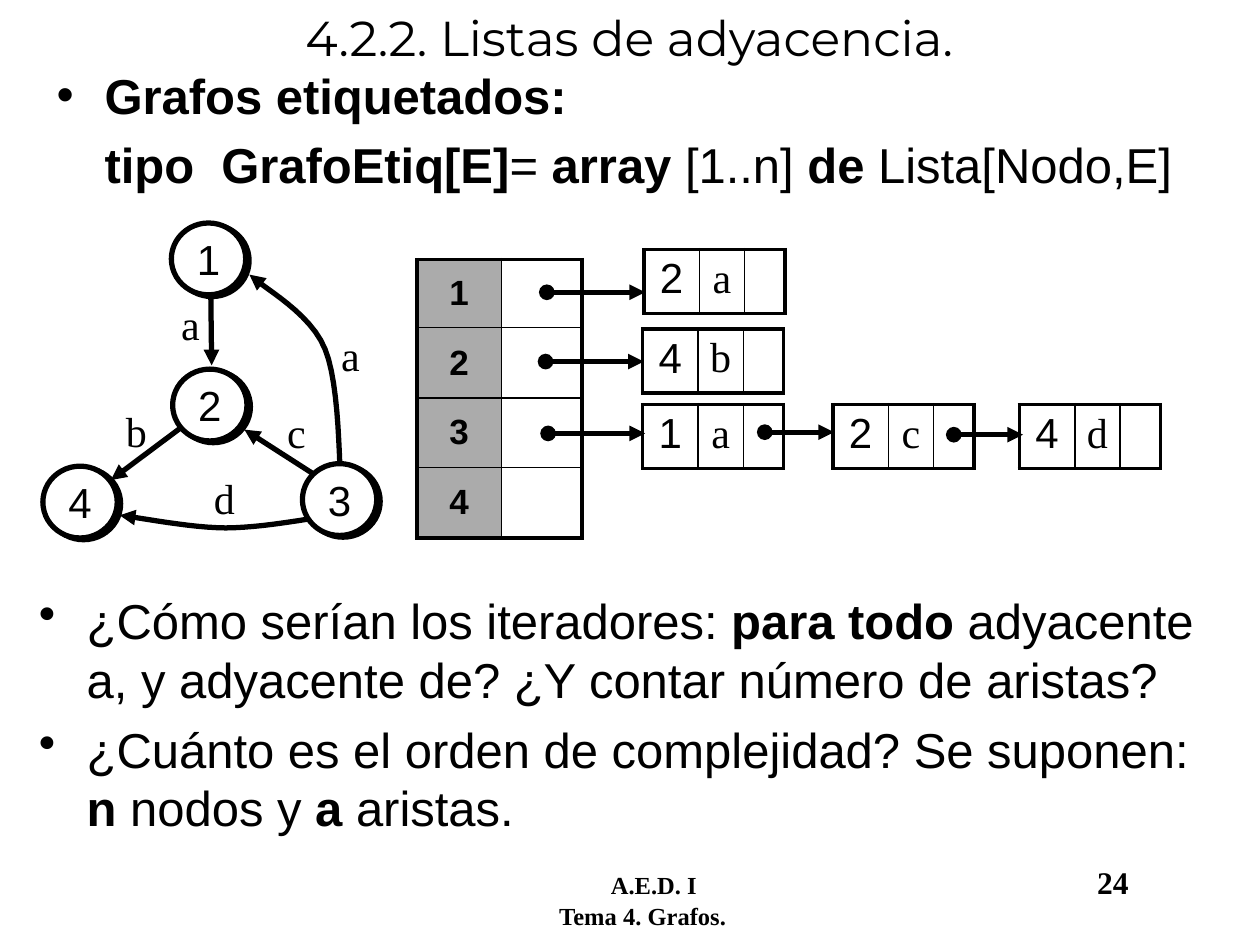
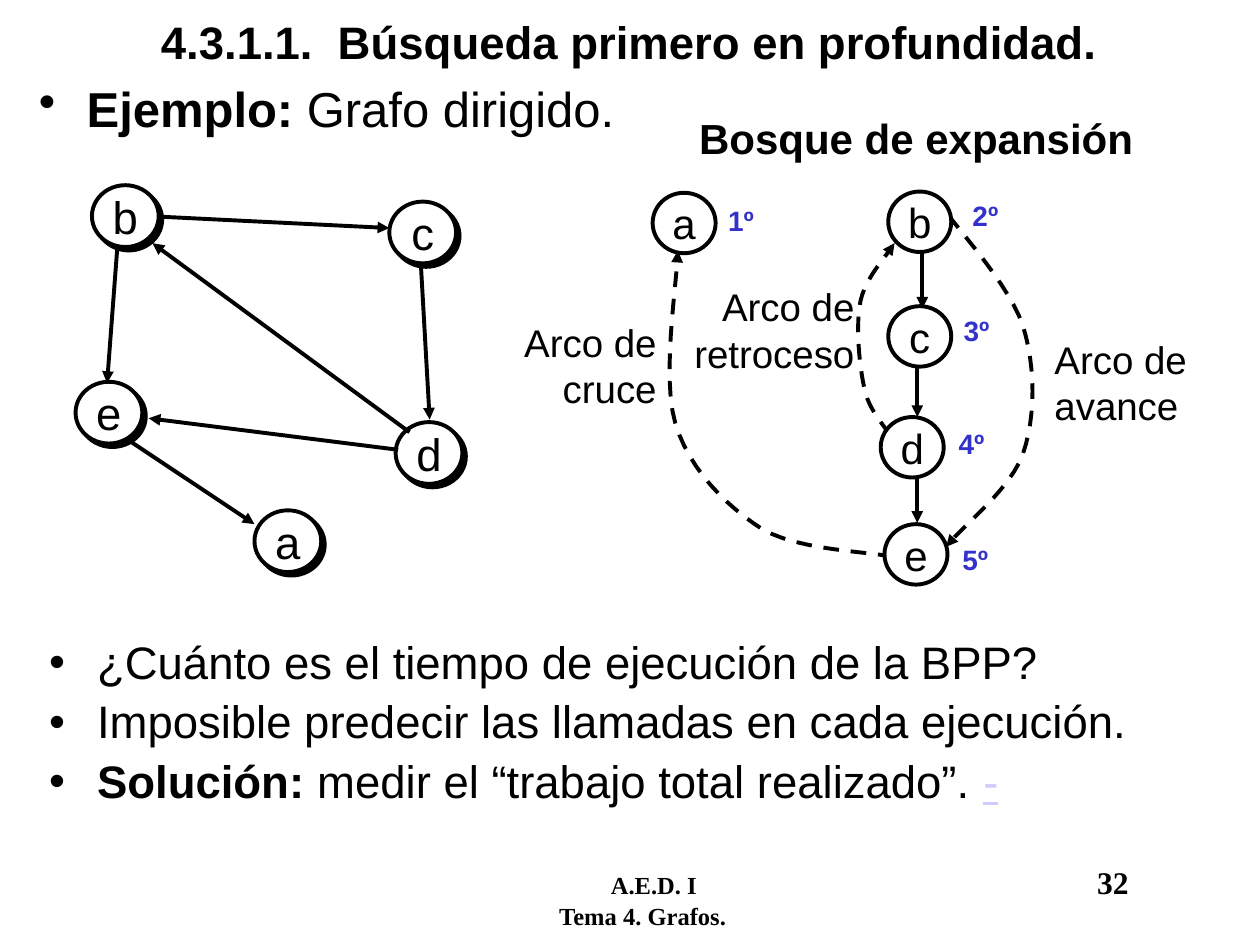
from dataclasses import dataclass

from lxml import etree
from pptx import Presentation
from pptx.dml.color import RGBColor
from pptx.enum.dml import MSO_LINE
from pptx.enum.shapes import MSO_CONNECTOR, MSO_SHAPE
from pptx.enum.text import MSO_ANCHOR, MSO_AUTO_SIZE, PP_ALIGN
from pptx.oxml.ns import qn
from pptx.util import Cm, Pt

LEFT, CENTER, RIGHT = PP_ALIGN.LEFT, PP_ALIGN.CENTER, PP_ALIGN.RIGHT
TOP, MIDDLE = MSO_ANCHOR.TOP, MSO_ANCHOR.MIDDLE
FIXED = MSO_AUTO_SIZE.NONE
ELLIPSE, STRAIGHT, DASH = MSO_SHAPE.OVAL, MSO_CONNECTOR.STRAIGHT, MSO_LINE.DASH

SANS, SERIF, DISPLAY = "Arial", "Times New Roman", "Montserrat"
BLACK, WHITE, GRAY, BLUE, PALE = "000000", "FFFFFF", "ABABAB", "3333CC", "CCCCFF"
CM_PER_UNIT = 2.54
INDENT = 0.38
CURVE_STEPS = 12
OUTER, INNER = 2.25, 1


@dataclass(frozen=True)
class Span:
    text: str
    bold: bool = False
    color: str = BLACK
    underline: bool = False


@dataclass(frozen=True)
class Line:
    spans: tuple[Span, ...]
    bullet: bool = True


@dataclass(frozen=True)
class Label:
    text: str
    left: float
    top: float
    width: float
    height: float


@dataclass(frozen=True)
class NodeStyle:
    width: float
    height: float
    size: float
    weight: float
    shadow: tuple[float, float] | None = None


@dataclass(frozen=True)
class Arrow:
    start: tuple[float, float]
    end: tuple[float, float]


def units(value: float) -> int:
    return Cm(CM_PER_UNIT * value)


def rgb(color: str) -> RGBColor:
    return RGBColor.from_string(color)


def add_child(parent, tag: str, **attributes):
    return etree.SubElement(parent, qn(tag), attributes)


def add_span(para, text: str, *, size: float, font: str = SANS, bold: bool = False,
             color: str = BLACK, underline: bool = False) -> None:
    span = para.add_run()
    span.text = text
    span.font.name, span.font.size = font, Pt(size)
    span.font.bold, span.font.underline = bold, underline
    span.font.color.rgb = rgb(color)


def write_lines(frame, lines: list[Line], size: float, spacing: float = 1) -> None:
    frame.word_wrap, frame.auto_size = True, FIXED
    for index, line in enumerate(lines):
        para = frame.add_paragraph() if index else frame.paragraphs[0]
        para.line_spacing = spacing
        para.space_before = Pt(6 if index else 0)
        layout = para._p.get_or_add_pPr()
        layout.set("marL", str(units(INDENT)))
        layout.set("indent", str(-units(INDENT) if line.bullet else 0))
        if line.bullet:
            add_child(layout, "a:buChar", char="•")
        else:
            add_child(layout, "a:buNone")
        for span in line.spans:
            add_span(para, span.text, size=size, bold=span.bold,
                     color=span.color, underline=span.underline)


def place(shape, left: float, top: float, width: float, height: float):
    shape.left, shape.top = units(left), units(top)
    shape.width, shape.height = units(width), units(height)
    return shape


def add_box(page, left: float, top: float, width: float, height: float):
    box = page.shapes.add_textbox(*map(units, (left, top, width, height)))
    box.text_frame.word_wrap = True
    return box


def add_label(page, label: Label, align=LEFT, **style) -> None:
    box = add_box(page, label.left, label.top, label.width, label.height)
    para = box.text_frame.paragraphs[0]
    para.alignment = align
    add_span(para, label.text, **style)


def add_page(deck, title: str, number: int, height: float, **title_style):
    page = deck.slides.add_slide(deck.slide_layouts[1])
    frame = place(page.shapes.title, 0.33, 0, 9.33, height).text_frame
    frame.vertical_anchor, frame.auto_size = MIDDLE, FIXED
    frame.paragraphs[0].alignment = CENTER
    add_span(frame.paragraphs[0], title, **title_style)

    footer = add_box(page, 3.62, 6.8, 5.8, 0.5).text_frame
    course, topic = footer.paragraphs[0], footer.add_paragraph()
    stops = add_child(course._p.get_or_add_pPr(), "a:tabLst")
    for position in (1.13, 4.99):
        add_child(stops, "a:tab", pos=str(units(position)), algn="l")
    add_span(course, "\tA.E.D. I\t", size=14, font=SERIF, bold=True)
    add_span(course, str(number), size=18, font=SERIF, bold=True)
    topic._p.get_or_add_pPr().set("marL", str(units(0.72)))
    add_span(topic, "Tema 4. Grafos.", size=14, font=SERIF, bold=True)
    return page


def style_stroke(shape, weight: float, head: str = "none", tail: str = "triangle",
                 dashed: bool = False) -> None:
    shape.line.color.rgb = rgb(BLACK)
    shape.line.width = Pt(weight)
    if dashed:
        shape.line.dash_style = DASH
    properties = shape._element.spPr
    stroke = properties.find(qn("a:ln"))
    add_child(stroke, "a:headEnd", type=head)
    add_child(stroke, "a:tailEnd", type=tail)
    add_child(properties, "a:effectLst")


def add_arrow(page, arrow: Arrow, weight: float, head: str = "none") -> None:
    ends = map(units, (*arrow.start, *arrow.end))
    style_stroke(page.shapes.add_connector(STRAIGHT, *ends), weight, head)


def add_curve(page, points: list[tuple[float, float]], weight: float,
              dashed: bool = False) -> None:
    trace = [points[0]]
    for first in range(0, len(points) - 1, 3):
        controls = points[first:first + 4]
        for step in range(1, CURVE_STEPS + 1):
            t = step / CURVE_STEPS
            factors = ((1 - t) ** 3, 3 * t * (1 - t) ** 2, 3 * t * t * (1 - t), t ** 3)
            trace.append(tuple(sum(factor * point[axis] for factor, point in zip(factors, controls))
                               for axis in (0, 1)))
    vertices = [(units(x), units(y)) for x, y in trace]
    builder = page.shapes.build_freeform(*vertices[0])
    builder.add_line_segments(vertices[1:], close=False)
    curve = builder.convert_to_shape()
    curve.fill.background()
    style_stroke(curve, weight, dashed=dashed)


def add_node(page, text: str, left: float, top: float, style: NodeStyle) -> None:
    node = page.shapes.add_shape(ELLIPSE, *map(units, (left, top, style.width, style.height)))
    node.fill.solid()
    node.fill.fore_color.rgb = rgb(WHITE)
    node.line.color.rgb = rgb(BLACK)
    node.line.width = Pt(style.weight)
    node.shadow.inherit = False
    if style.shadow:
        distance, angle = style.shadow
        effects = node._element.spPr.find(qn("a:effectLst"))
        shadow = add_child(effects, "a:outerShdw", dist=str(Pt(distance)),
                           dir=str(round(angle * 60000)), algn="ctr", rotWithShape="0")
        add_child(shadow, "a:srgbClr", val=BLACK)
    frame = node.text_frame
    frame.word_wrap, frame.vertical_anchor = False, MIDDLE
    frame.paragraphs[0].alignment = CENTER
    add_span(frame.paragraphs[0], text, size=style.size)


def add_borders(cell, weights: dict[str, float]) -> None:
    properties = cell._tc.get_or_add_tcPr()
    for index, (side, weight) in enumerate(weights.items()):
        border = etree.Element(qn(f"a:ln{side}"), w=str(Pt(weight)))
        add_child(add_child(border, "a:solidFill"), "a:srgbClr", val=BLACK)
        properties.insert(index, border)


def add_cells(page, left: float, top: float, widths: list[float], heights: list[float]):
    frame = page.shapes.add_table(len(heights), len(widths), *map(
        units, (left, top, sum(widths), sum(heights))))
    table = frame.table
    table.first_row = table.horz_banding = False
    for column, width in zip(table.columns, widths):
        column.width = units(width)
    for row, height in zip(table.rows, heights):
        row.height = units(height)
    last_row, last_column = len(heights) - 1, len(widths) - 1
    for i in range(len(heights)):
        for j in range(len(widths)):
            cell = table.cell(i, j)
            cell.margin_left = cell.margin_right = units(0.05)
            cell.fill.background()
            edges = {"L": j == 0, "R": j == last_column, "T": i == 0, "B": i == last_row}
            add_borders(cell, {side: OUTER if outer else INNER for side, outer in edges.items()})
    return table


def fill_cell(cell, text: str, anchor=TOP, **style) -> None:
    cell.vertical_anchor = anchor
    para = cell.text_frame.paragraphs[0]
    para.alignment = CENTER
    add_span(para, text, **style)


def paint_cell(cell, color: str) -> None:
    cell.fill.solid()
    cell.fill.fore_color.rgb = rgb(color)


def build_adjacency_lists(deck) -> None:
    page = add_page(deck, "4.2.2. Listas de adyacencia.", 24, 0.58, size=28, font=DISPLAY)
    body = place(page.placeholders[1], 0.35, 0.47, 9.39, 1.75)
    write_lines(body.text_frame, [
        Line((Span("Grafos etiquetados:", True),)),
        Line((Span("tipo  GrafoEtiq[E]", True), Span("="), Span(" array ", True),
              Span("[1..n]"), Span(" de ", True), Span("Lista[Nodo,E]")), bullet=False)], 28)

    add_curve(page, [(2.71, 3.91), (2.69, 3.72), (2.7, 3.06), (2.58, 2.77),
                     (2.46, 2.48), (2.11, 2.3), (1.98, 2.18)], 3)
    add_curve(page, [(2.57, 4.1), (2.44, 4.12), (2.06, 4.19), (1.79, 4.19),
                     (1.52, 4.19), (1.12, 4.11), (0.95, 4.09)], 3)
    for arrow in (Arrow((2.75, 3.93), (1.94, 3.41)), Arrow((1.71, 3.19), (0.88, 3.81)),
                  Arrow((1.67, 2.04), (1.68, 2.9))):
        add_arrow(page, arrow, 3)
    style = NodeStyle(0.59, 0.57, 24, 3, (2.2, 27))
    for text, left, top in (("1", 1.36, 1.77), ("2", 1.37, 2.93),
                            ("3", 2.4, 3.68), ("4", 0.34, 3.7)):
        add_node(page, text, left, top, style)
    for text, left, top in (("a", 1.34, 2.32), ("c", 2.18, 3.18), ("a", 2.61, 2.57),
                            ("b", 0.9, 3.17), ("d", 1.6, 3.7)):
        add_label(page, Label(text, left, top, 0.5, 0.5), size=24, font=SERIF)

    write_lines(add_box(page, 0.21, 4.64, 9.48, 2.07).text_frame, [
        Line((Span("¿Cómo serían los iteradores: "), Span("para todo", True),
              Span(" adyacente a, y adyacente de? ¿Y contar número de aristas?"))),
        Line((Span("¿Cuánto es el orden de complejidad? Se suponen: "), Span("n", True),
              Span(" nodos y "), Span("a", True), Span(" aristas.")))], 28)

    heads = add_cells(page, 3.31, 2.06, [0.67, 0.64], [0.54, 0.56, 0.55, 0.56])
    for index in range(4):
        fill_cell(heads.cell(index, 0), str(index + 1), MIDDLE, size=20, bold=True)
        paint_cell(heads.cell(index, 0), GRAY)
        paint_cell(heads.cell(index, 1), WHITE)
    for number, tag, left, top, arrow in (
            ("2", "a", 5.11, 1.98, Arrow((4.34, 2.32), (5.12, 2.32))),
            ("4", "b", 5.1, 2.61, Arrow((4.33, 2.87), (5.11, 2.87))),
            ("1", "a", 5.1, 3.21, Arrow((4.35, 3.44), (5.12, 3.44))),
            ("2", "c", 6.61, 3.21, Arrow((6.07, 3.43), (6.62, 3.43))),
            ("4", "d", 8.09, 3.21, Arrow((7.57, 3.45), (8.12, 3.45)))):
        item = add_cells(page, left, top, [0.44, 0.36, 0.32], [0.51])
        fill_cell(item.cell(0, 0), number, size=24)
        fill_cell(item.cell(0, 1), tag, size=24, font=SERIF)
        add_arrow(page, arrow, 3, head="oval")


def build_depth_first_search(deck) -> None:
    page = add_page(deck, "4.3.1.1.  Búsqueda primero en profundidad.", 32, 0.65,
                    size=26, bold=True)
    body = place(page.placeholders[1], 0.29, 5.03, 9.48, 1.53)
    write_lines(body.text_frame, [
        Line((Span("¿Cuánto es el tiempo de ejecución de la BPP?"),)),
        Line((Span("Imposible predecir las llamadas en cada ejecución."),)),
        Line((Span("Solución:", True), Span(" medir el “trabajo total realizado”. "),
              Span("-", color=PALE, underline=True)))], 26, 0.9)
    add_label(page, Label("Bosque de expansión", 5.45, 0.84, 3.79, 0.58), size=24, bold=True)

    graph_style = NodeStyle(0.53, 0.49, 26, 2.25, (2.8, 45))
    for text, left, top in (("b", 0.73, 1.47), ("c", 3.09, 1.6), ("e", 0.6, 3.03),
                            ("d", 3.14, 3.35), ("a", 2.02, 4.05)):
        add_node(page, text, left, top, graph_style)
    graph_arrows = (Arrow((1.27, 1.72), (3.09, 1.81)), Arrow((3.34, 2.09), (3.41, 3.33)),
                    Arrow((0.93, 1.98), (0.85, 3.04)), Arrow((3.16, 3.57), (1.18, 3.32)),
                    Arrow((3.25, 3.43), (1.21, 1.93)), Arrow((1.03, 3.5), (2.02, 4.16)))
    tree_arrows = (Arrow((7.32, 1.97), (7.32, 2.45)), Arrow((7.28, 2.88), (7.28, 3.31)),
                   Arrow((7.28, 3.72), (7.28, 4.15)))
    for arrow in graph_arrows + tree_arrows:
        add_arrow(page, arrow, 2.25)

    visits = ((5.68, 1.57), (7.62, 1.53), (7.55, 2.44), (7.51, 3.34), (7.54, 4.26))
    for order, (left, top) in enumerate(visits, 1):
        add_label(page, Label(f"{order}º", left, top, 0.74, 0.37),
                  size=16, bold=True, color=BLUE)

    cross = [(7.09, 4.42), (6.92, 4.38), (6.34, 4.37), (6.05, 4.2), (5.77, 4.02),
             (5.47, 3.73), (5.36, 3.36), (5.25, 2.99), (5.37, 2.28), (5.38, 1.99)]
    back = [(7.06, 3.45), (7.03, 3.39), (6.89, 3.25), (6.86, 3.08), (6.82, 2.9),
            (6.79, 2.58), (6.83, 2.39), (6.87, 2.2), (7.04, 2.03), (7.1, 1.93)]
    forward = [(7.53, 1.71), (7.63, 1.85), (8.02, 2.28), (8.12, 2.59), (8.22, 2.91),
               (8.22, 3.31), (8.12, 3.6), (8.02, 3.89), (7.63, 4.18), (7.51, 4.34)]
    for points in (cross, back, forward):
        add_curve(page, points, 2.25, dashed=True)
    for label, align in ((Label("Arco de avance", 8.27, 2.62, 1.41, 0.83), LEFT),
                         (Label("Arco de retroceso", 5.32, 2.2, 1.56, 0.83), RIGHT),
                         (Label("Arco de cruce", 3.75, 2.48, 1.56, 0.83), RIGHT)):
        add_label(page, label, align, size=22)

    write_lines(add_box(page, 0.21, 0.57, 5.05, 0.68).text_frame,
                [Line((Span("Ejemplo: ", True), Span("Grafo dirigido.")))], 28)
    tree_style = NodeStyle(0.5, 0.48, 24, 2.25)
    for text, left, top in (("a", 5.18, 1.53), ("b", 7.05, 1.52), ("c", 7.05, 2.43),
                            ("e", 7.02, 4.16), ("d", 6.99, 3.31)):
        add_node(page, text, left, top, tree_style)


def main() -> None:
    deck = Presentation()
    deck.slide_width, deck.slide_height = units(10), units(7.5)
    build_adjacency_lists(deck)
    build_depth_first_search(deck)
    deck.save("out.pptx")


if __name__ == "__main__":
    main()
